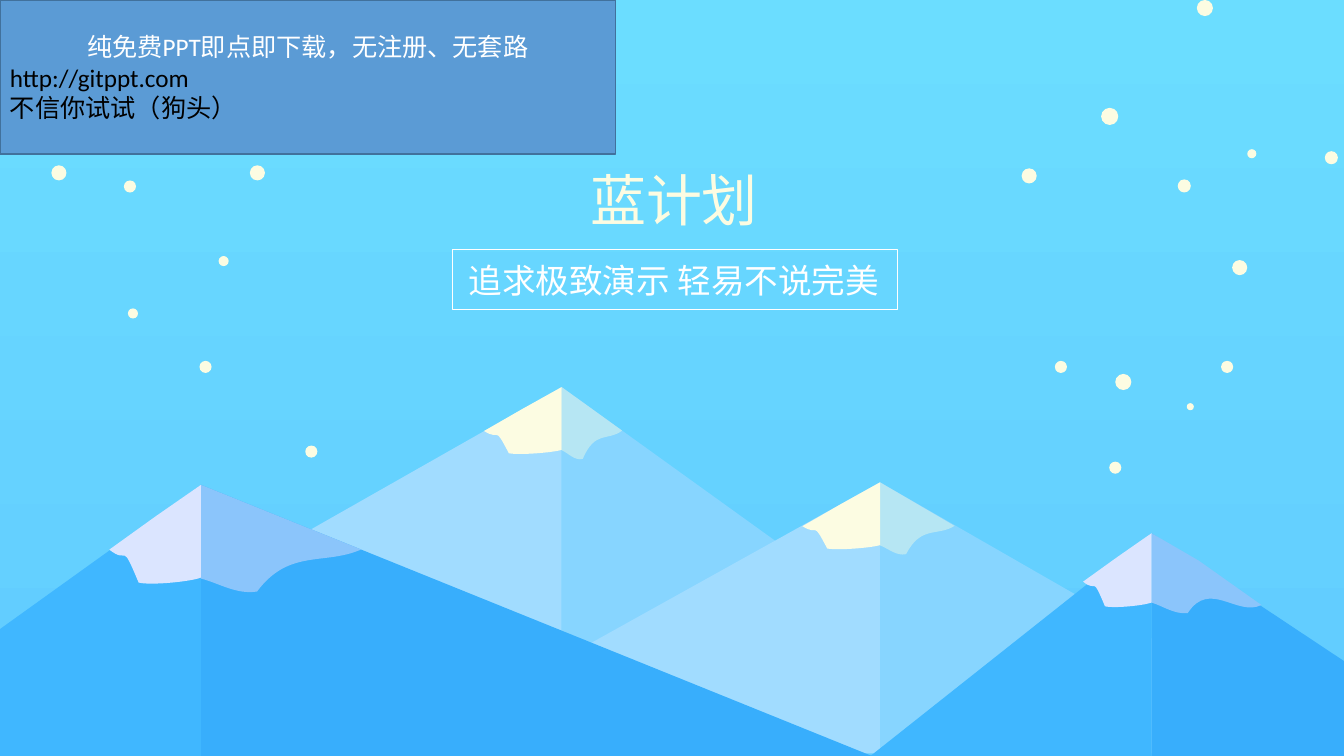
from lxml.etree import SubElement
from pptx import Presentation
from pptx.dml.color import RGBColor
from pptx.enum.shapes import MSO_SHAPE
from pptx.enum.text import MSO_ANCHOR, MSO_AUTO_SIZE, PP_ALIGN
from pptx.oxml.ns import qn
from pptx.util import Inches, Pt

CELL = Inches(0.1)  # the grid: 133.4 columns by 75 rows
SANS = "Noto Sans CJK SC"
HUES = {
    "sky": "6BDDFF", "haze": "61CBFF", "snow": "FCFCE2", "white": "FFFFFF",
    "far_lit": "A1DCFF", "far_dim": "87D5FF", "far_cap": "B6E6F3",
    "near_lit": "40B7FF", "near_dim": "38AEFC",
    "near_cap": "DBE5FF", "near_shade": "8BC5FB",
    "banner": "5B9BD5", "edge": "41719C", "black": "000000",
}
RGB = {name: RGBColor.from_string(hue) for name, hue in HUES.items()}


def write(frame, lines, *, size, font=SANS, anchor=MSO_ANCHOR.TOP):
    """Fill a text frame with (text, colour, alignment) lines."""
    frame.word_wrap = True
    frame.auto_size = MSO_AUTO_SIZE.NONE
    frame.vertical_anchor = anchor
    for i, (text, color, align) in enumerate(lines):
        par = frame.add_paragraph() if i else frame.paragraphs[0]
        par.alignment = align
        par.space_before = Pt(0)
        run = par.add_run()
        run.text = text
        run.font.size = Pt(size)
        run.font.name = font
        run.font.color.rgb = RGB[color]
        SubElement(run.font._element, qn("a:ea")).set("typeface", SANS)


def paint(shape, color=None, line=None, width=1):
    shape.shadow.inherit = False
    if color:
        shape.fill.solid()
        shape.fill.fore_color.rgb = RGB[color]
    else:
        shape.fill.background()
    if line:
        shape.line.color.rgb = RGB[line]
        shape.line.width = Pt(width)
    else:
        shape.line.fill.background()


deck = Presentation()
deck.slide_width, deck.slide_height = Inches(13.34), Inches(7.5)
slide = deck.slides.add_slide(deck.slide_layouts[0])
shapes = slide.shapes

sky = slide.background.fill
sky.gradient()
sky.gradient_angle = 270
for stop, name in zip(sky.gradient_stops, ("sky", "haze")):
    stop.color.rgb = RGB[name]

# Snowflakes: left, top, size
flakes = [
    (12.3, 17.9, 1.2), (24.8, 16.4, 1.5), (5.1, 16.4, 1.5), (101.4, 16.7, 1.5),
    (109.3, 10.7, 1.7), (116.9, 17.8, 1.3), (123.8, 14.8, 0.9), (131.5, 15, 1.3),
    (21.7, 25.4, 1), (118.8, 0, 1.6), (122.3, 25.8, 1.5), (19.8, 35.8, 1.2),
    (30.3, 44.2, 1.2), (110.7, 37.1, 1.6), (121.2, 35.8, 1.2), (104.7, 35.8, 1.2),
    (117.8, 40, 0.7), (110.1, 45.8, 1.2), (12.7, 30.6, 1),
]
for x, y, size in flakes:
    dot = shapes.add_shape(MSO_SHAPE.OVAL, *[int(v * CELL) for v in (x, y, size, size)])
    paint(dot, "snow")

# Cap outlines as shares of the cap's size: foot, peak, ridge, edge, then two curves
lit_cap = [(0, 0.93), (0, 0), (0.5, 0.32), (1, 0.65), (0.78, 0.81),
           (0.88, 0.54), (0.68, 0.98), (0.55, 1.01), (0.11, 0.97), (0, 0.93)]
dim_cap = [(0, 0.87), (0, 0), (0.5, 0.3), (1, 0.6), (0.77, 0.75),
           (0.55, 0.59), (0.35, 0.99), (0.22, 1.02), (0.11, 0.91), (0, 0.87)]
low_cap = [(0, 0.86), (0, 0), (0.43, 0.34), (1, 0.89), (0.78, 1.04),
           (0.53, 0.57), (0.33, 0.99), (0.21, 1.01), (0.1, 0.9), (0, 0.86)]
far = ("far_dim", "far_lit", "far_cap", "snow")
near = ("near_dim", "near_lit", "near_shade", "near_cap")

# Peak, height, then (base, cap width, cap height) right and left, right cap, hues
peaks = [
    (55.75, 38.4, 26.9, (37.4, 6, 7.2), (47.4, 7.7, 6.7), dim_cap, far),
    (87.35, 47.85, 26.9, (46.9, 7.4, 7.2), (48.4, 7.7, 6.7), dim_cap, far),
    (19.95, 48.1, 26.9, (66.6, 15.9, 10.7), (37.5, 9.1, 9.9), dim_cap, near),
    (114.3, 52.9, 22.1, (33.3, 10.9, 8), (27.9, 6.8, 7.4), low_cap, near),
]
for x, y, high, right, left, cap, hues in peaks:
    sides = [(1, right, cap), (-1, left, lit_cap)]
    for (way, (base, _, _), _), hue in zip(sides, hues[:2]):
        start = x if way > 0 else x - base
        slope = shapes.add_shape(MSO_SHAPE.RIGHT_TRIANGLE,
                                 *[int(v * CELL) for v in (start, y, base, high)])
        if way < 0:
            slope._element.spPr.find(qn("a:xfrm")).set("flipH", "1")
        paint(slope, hue)
    for (way, (_, wide, tall), form), hue in zip(sides, hues[2:]):
        dots = [(int((x + way * u * wide) * CELL), int((y + v * tall) * CELL)) for u, v in form]
        pen = shapes.build_freeform(*dots[0])
        pen.add_line_segments(dots[1:], close=True)
        snow = pen.convert_to_shape()
        # The last six points become two cubic curves
        steps = list(snow._element.iter(qn("a:lnTo")))[3:9]
        for trio in (steps[:3], steps[3:]):
            trio[0].tag = qn("a:cubicBezTo")
            for step in trio[1:]:
                trio[0].append(step[0])
                step.getparent().remove(step)
        paint(snow, hue)

# Title and subtitle
for holder, box, text, size, color, align in [
    (shapes.title, (49.7, 15.9, 34.4, 7.7), "蓝计划", 40, "snow", PP_ALIGN.CENTER),
    (slide.placeholders[1], (45.5, 25.3, 44.6, 5), "追求极致演示 轻易不说完美",
     24, "white", PP_ALIGN.LEFT),
]:
    holder.left, holder.top, holder.width, holder.height = [int(v * CELL) for v in box]
    write(holder.text_frame, [(text, color, align)], size=size)

frame = shapes.add_shape(MSO_SHAPE.RECTANGLE, *[int(v * CELL) for v in (44.9, 24.75, 44.2, 5.95)])
paint(frame, line="white", width=0.25)

banner = shapes.add_shape(MSO_SHAPE.RECTANGLE, 0, 0, int(61.1 * CELL), int(15.3 * CELL))
paint(banner, "banner", line="edge")
write(banner.text_frame, [
    ("纯免费PPT即点即下载，无注册、无套路", "white", PP_ALIGN.CENTER),
    ("http://gitppt.com", "black", PP_ALIGN.LEFT),
    ("不信你试试（狗头）", "black", PP_ALIGN.LEFT),
], size=18, font="Calibri", anchor=MSO_ANCHOR.MIDDLE)

deck.save("out.pptx")
